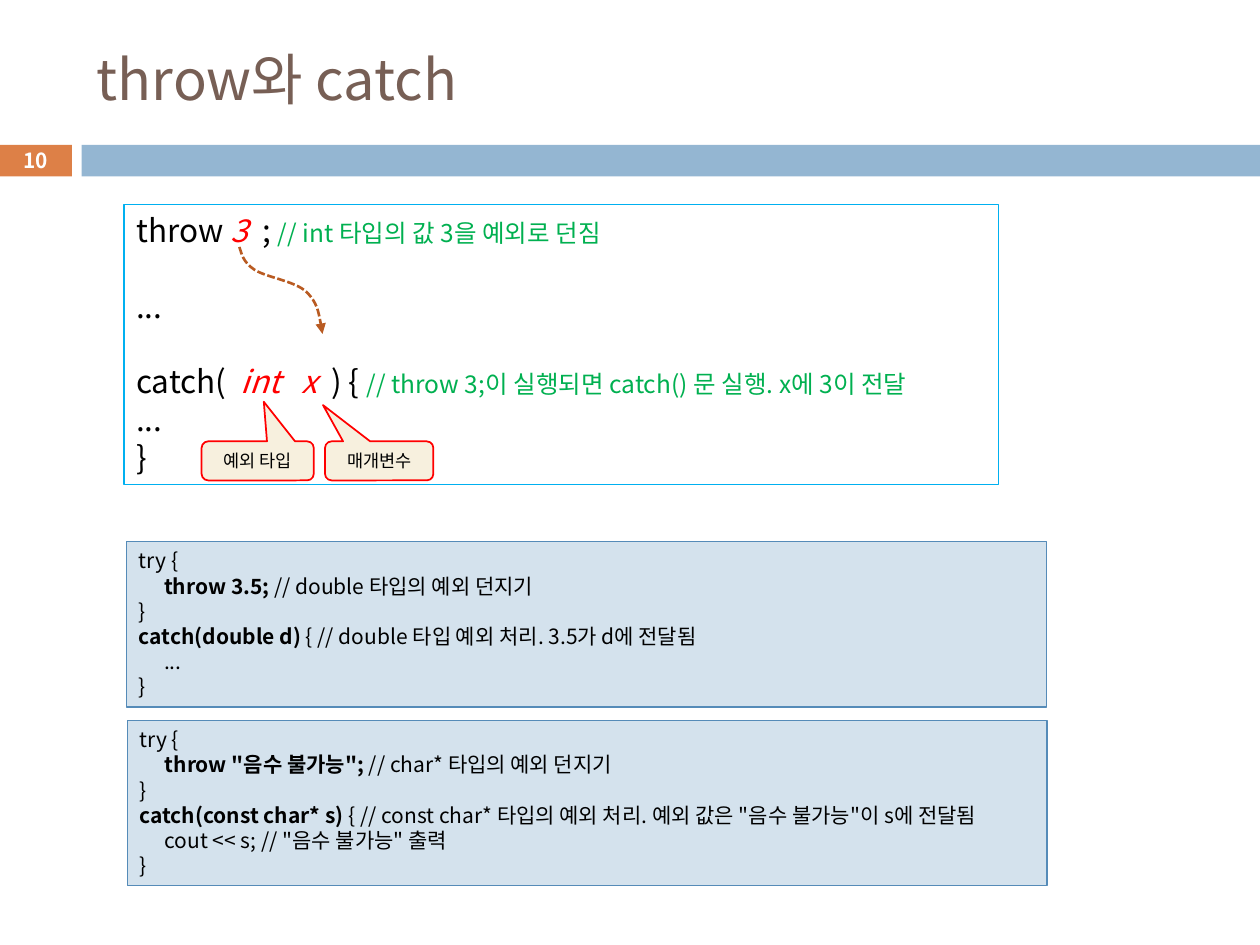
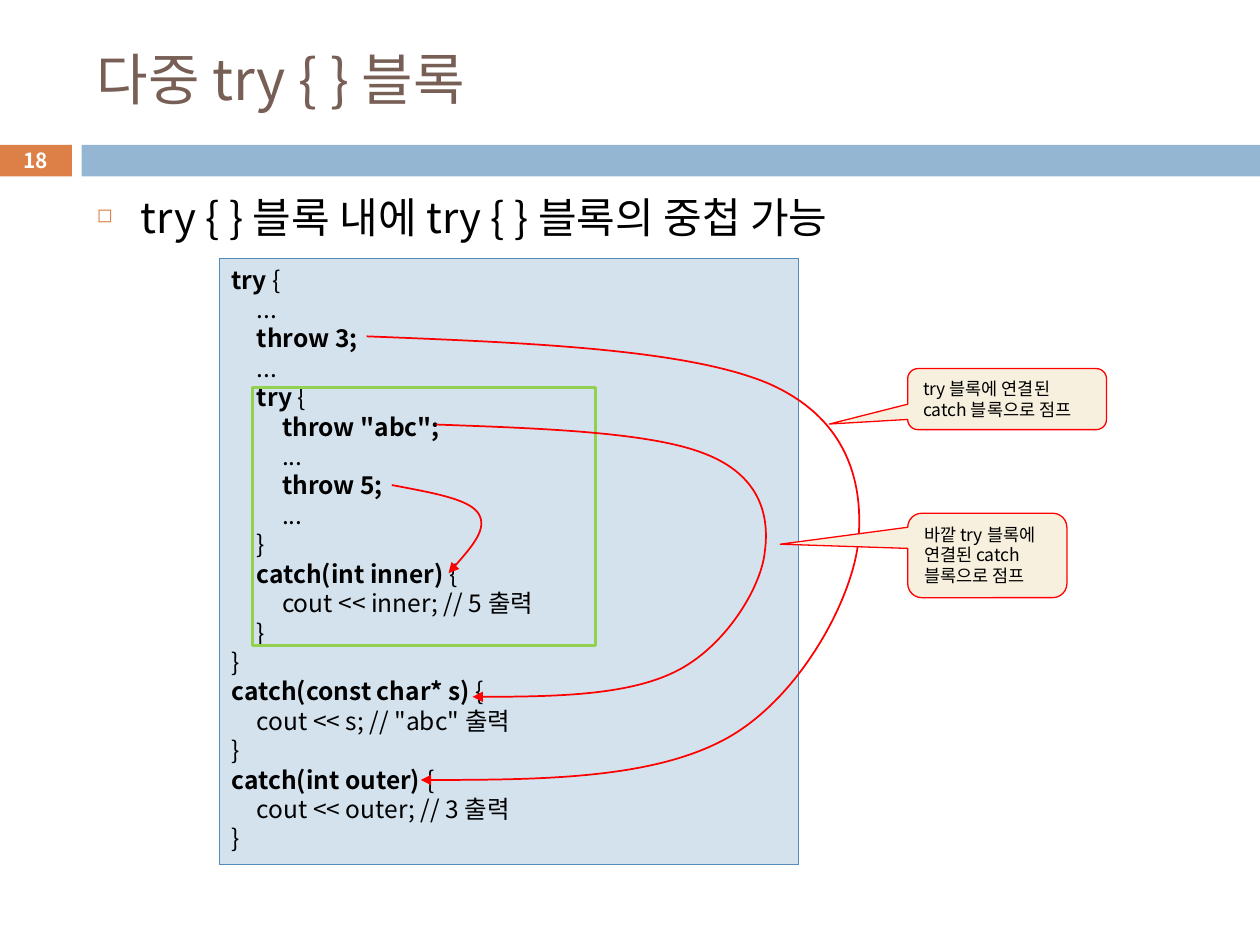
from pptx import Presentation
from pptx.dml.color import RGBColor
from pptx.enum.dml import MSO_LINE
from pptx.enum.shapes import MSO_SHAPE as Kind
from pptx.enum.text import MSO_ANCHOR as Anchor, PP_ALIGN as Align
from pptx.oxml import parse_xml
from pptx.oxml.ns import nsdecls, qn
from pptx.util import Pt

FONT = "Noto Sans CJK KR"
TITLE, ORANGE, BAND = "775F55", "DD8047", "94B6D2"
CODE, EDGE, CREAM, RED = "D4E2ED", "558BB8", "F7F0DE", "FF0000"
TAB = 14.4
rgb = RGBColor.from_string


def box(slide, at, text=None, kind=Kind.RECTANGLE, adj=(), fill=None, line=None,
        width=0.75, size=12, color="000000", bold=False, mid=False,
        align=Align.LEFT, gaps=(), tabs=False, bullet=None):
    """Text lines are strings, where | toggles bold, or lists of (text, format)."""
    shape = slide.shapes.add_shape(kind, *map(Pt, at))
    shape.shadow.inherit = False
    for i, value in enumerate(adj):
        shape.adjustments[i] = value
    if fill:
        shape.fill.solid()
        shape.fill.fore_color.rgb = rgb(fill)
    else:
        shape.fill.background()
    if line:
        shape.line.color.rgb = rgb(line)
        shape.line.width = Pt(width)
    else:
        shape.line.fill.background()
    if text is None:
        return
    frame = shape.text_frame
    frame.word_wrap = True
    frame.vertical_anchor = Anchor.MIDDLE if mid else Anchor.TOP
    frame.margin_left = frame.margin_right = Pt(7.2)
    frame.margin_top = frame.margin_bottom = Pt(3.6)
    lines = [text] if isinstance(text, str) else text
    for i, row in enumerate(lines):
        para = frame.paragraphs[0] if i == 0 else frame.add_paragraph()
        para.alignment = align
        if not mid:
            para.line_spacing = Pt(1.2 * size)
        if i in gaps:
            para.space_before = Pt(1.2 * size)
        props = para._p.get_or_add_pPr()
        if bullet:
            props.set("marL", str(Pt(25.2)))
            props.set("indent", str(-Pt(25.2)))
            for xml in (f'<a:buClr {nsdecls("a")}><a:srgbClr val="{ORANGE}"/></a:buClr>',
                        f'<a:buSzPct {nsdecls("a")} val="46000"/>',
                        f'<a:buChar {nsdecls("a")} char="{bullet}"/>'):
                props.append(parse_xml(xml))
        if tabs:
            stops = "".join(f'<a:tab pos="{Pt(TAB * n)}" algn="l"/>' for n in (1, 2))
            props.append(parse_xml(f'<a:tabLst {nsdecls("a")}>{stops}</a:tabLst>'))
        if isinstance(row, str):
            row = [(part, {"bold": bold or n % 2 == 1})
                   for n, part in enumerate(row.split("|"))]
        for part, form in row:
            if part:
                run = para.add_run()
                run.text = part
                font = run.font
                font.name = FONT
                font.size = Pt(form.get("size", size))
                font.bold = form.get("bold", bold)
                font.italic = form.get("italic", False)
                font.color.rgb = rgb(form.get("color", color))


def curve(slide, pts, color=RED, width=1, dash=None):
    """An arrow along joined cubic curves: a start, then three points for each."""
    spots = [(Pt(x), Pt(y)) for x, y in pts]
    form = slide.shapes.build_freeform(*spots[0])
    form.add_line_segments(spots[3::3], close=False)
    shape = form.convert_to_shape()
    # Bend each straight piece into a cubic curve
    for n, piece in enumerate(list(shape._element.iter(qn("a:lnTo")))):
        marks = "".join(f'<a:pt x="{x - shape.left}" y="{y - shape.top}"/>'
                        for x, y in spots[3 * n + 1:3 * n + 4])
        bend = parse_xml(f'<a:cubicBezTo {nsdecls("a")}>{marks}</a:cubicBezTo>')
        piece.getparent().replace(piece, bend)
    shape.shadow.inherit = False
    shape.fill.background()
    shape.line.color.rgb = rgb(color)
    shape.line.width = Pt(width)
    if dash:
        shape.line.dash_style = dash
    shape.line._get_or_add_ln().append(
        parse_xml(f'<a:tailEnd {nsdecls("a")} type="triangle"/>'))


deck = Presentation()
deck.slide_width, deck.slide_height = Pt(720), Pt(540)

# Shared frame: bands, title, page number
pages = []
for title, num in (("throw와 catch", "10"), ("다중 try { } 블록", "18")):
    page = deck.slides.add_slide(deck.slide_layouts[6])
    box(page, (-0.72, 82.8, 41.76, 18), fill=ORANGE)
    box(page, (46.6, 82.8, 673.4, 18), fill=BAND)
    box(page, (48.24, 18, 642.24, 53.28), title, size=32, color=TITLE, mid=True)
    box(page, (-0.72, 81.7, 41.76, 19.44), num, size=11.9, color="FFFFFF",
        bold=True, mid=True, align=Align.CENTER)
    pages.append(page)
first, second = pages

# Slide 1: syntax
plain, var = {}, {"color": RED, "italic": True}
note = {"color": "00B050", "size": 14}
syntax = [
    [("throw ", plain), ("3  ", var), ("; ", plain),
     ("// int 타입의 값 3을 예외로 던짐", note)],
    "...",
    [("catch(  ", plain), ("int   x  ", var), (") { ", plain),
     ("// throw 3;이 실행되면 catch() 문 실행. x에 3이 전달", note)],
    "...",
    "}",
]
box(first, (70.8, 117, 499.7, 160), syntax, line="00B0F0", size=18, gaps=(1, 2))

for left, wide, label, tip in ((185.76, 61.92, "매개변수", (-0.519, -1.429)),
                               (115.2, 64.08, "예외 타입", (0.055, -1.515))):
    box(first, (left, 252.2, wide, 22.32), label, kind=Kind.ROUNDED_RECTANGULAR_CALLOUT,
        adj=(*tip, 0.167), fill=CREAM, line=RED, width=1, size=10, mid=True,
        align=Align.CENTER)

curve(first, [(136.8, 141.1), (138.2, 145.4), (139, 149.8), (145.4, 154.1),
              (151.9, 158.4), (168.5, 160.6), (175, 166.7),
              (181.4, 172.8), (182.9, 182.2), (184.3, 190.8)],
      color="B95B22", width=1.5, dash=MSO_LINE.SQUARE_DOT)

# Slide 1: two samples
double = [
    "try {",
    "\t|throw 3.5; |// double 타입의 예외 던지기",
    "}",
    "|catch(double d) |{ // double 타입 예외 처리. 3.5가 d에 전달됨",
    "\t...",
    "}",
]
string = [
    "try {",
    '\t|throw "음수 불가능"; |// char* 타입의 예외 던지기',
    "}",
    '|catch(const char* s) |{ // const char* 타입의 예외 처리. 예외 값은 "음수 불가능"이 s에 전달됨',
    '\tcout << s; // "음수 불가능" 출력',
    "}",
]
for left, top, code in ((72.3, 309.6, double), (72.72, 411.7, string)):
    box(first, (left, top, 525.6, 94.5), code, fill=CODE, line=EDGE, tabs=True)

# Slide 2: point and nested code
box(second, (48.24, 105.84, 642.24, 396.72), "try { } 블록 내에 try { } 블록의 중첩 가능",
    size=24, bullet="◻")
nested = [
    "|try| {",
    "\t...",
    "\t|throw 3;",
    "\t...",
    "\t|try| {",
    '\t\t|throw "abc";',
    "\t\t...",
    "\t\t|throw 5;",
    "\t\t...",
    "\t}",
    "\t|catch(int inner) |{",
    "\t\tcout << inner; // 5 출력",
    "\t}",
    "}",
    "|catch(const char* s) |{",
    '\tcout << s; // "abc" 출력',
    "}",
    "|catch(int outer) |{",
    "\tcout << outer; // 3 출력",
    "}",
]
box(second, (125.28, 147.6, 331.2, 346.32), nested, fill=CODE, line=EDGE, size=14, tabs=True)
box(second, (144.2, 221.4, 196, 147.6), line="92D050", width=1.5)

# Slide 2: jumps from throw to catch
outer = [(209.5, 192.2), (301, 195.8), (391.7, 199.4), (438.5, 218.9),
         (485.3, 239), (493.9, 277.2), (490.3, 311),
         (486, 344.9), (455.8, 400.3), (414, 422.6),
         (372.2, 445), (306.7, 445.7), (240.5, 445.7)]
middle = [(249.1, 242.6), (310.3, 244.8), (371.5, 247), (402.5, 259.2),
          (434.2, 271.4), (439.9, 294.5), (437, 315.4),
          (434.9, 336.2), (414, 370.1), (385.9, 383.8),
          (358.6, 397.4), (313.9, 398.2), (270, 398.2)]
inner = [(223.9, 277.2), (246.2, 281.5), (268.6, 285.1), (273.6, 293.8),
         (278.6, 302.4), (267.8, 314.6), (256.3, 327.6)]
for jump in (outer, middle, inner):
    curve(second, jump)

# Slide 2: callouts
for top, wide, high, label, tip in (
        (210.6, 113.6, 34.9, "try 블록에 연결된 catch 블록으로 점프", (-0.894, 0.409)),
        (293.3, 91, 48.24, "바깥 try 블록에 연결된 catch 블록으로 점프", (-1.3, -0.133))):
    box(second, (518.7, top, wide, high), label, kind=Kind.ROUNDED_RECTANGULAR_CALLOUT,
        adj=(*tip, 0.167), fill=CREAM, line=RED, size=10)

deck.save("out.pptx")
